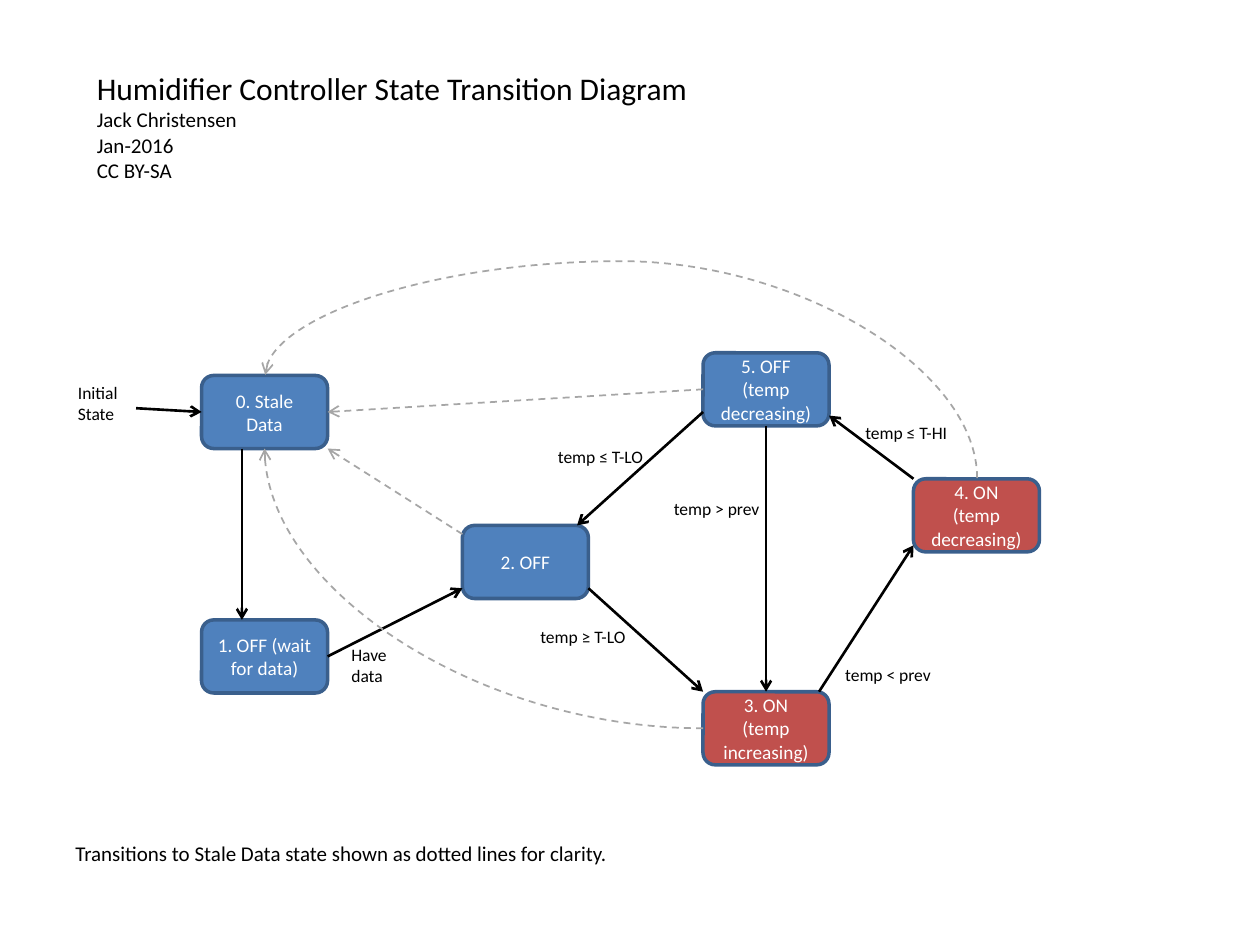
from pptx import Presentation
from pptx.dml.color import RGBColor
from pptx.enum.dml import MSO_LINE
from pptx.enum.shapes import MSO_CONNECTOR, MSO_SHAPE
from pptx.enum.text import MSO_ANCHOR, MSO_AUTO_SIZE, PP_ALIGN
from pptx.oxml.ns import qn
from pptx.util import Inches, Pt
from lxml.etree import SubElement

FONT = "Calibri"
BLUE, RED, EDGE = "4F81BD", "C0504D", "3A5F8C"
BLACK, GRAY, WHITE = "000000", "A6A6A6", "FFFFFF"
STATE_W, STATE_H = 1, 0.58
SITES = {(0.5, 0): 0, (0, 0.5): 1, (0.5, 1): 2, (1, 0.5): 3}

# left, top, fill, label; the index is the state number
STATES = [
    (1.6, 2.98, BLUE, "0. Stale Data"),
    (1.6, 4.92, BLUE, "1. OFF (wait for data)"),
    (3.67, 4.17, BLUE, "2. OFF"),
    (5.58, 5.49, RED, "3. ON (temp increasing)"),
    (7.25, 3.8, RED, "4. ON (temp decreasing)"),
    (5.58, 2.8, BLUE, "5. OFF (temp decreasing)"),
]

# from state, share across and down its box, then the same for the target
TRANSITIONS = [
    ((0, 0.32, 1), (1, 0.32, 0)),
    ((4, 0, 0), (5, 1, 0.86)),
    ((3, 0.92, 0), (4, 0, 0.91)),
    ((2, 1, 0.86), (3, 0, 0)),
    ((1, 1, 0.5), (2, 0, 0.86)),
    ((5, 0.5, 1), (3, 0.5, 0)),
    ((5, 0, 0.81), (2, 0.91, 0)),
]
STALE_LINES = [
    ((2, 0, 0.12), (0, 1, 1)),
    ((5, 0, 0.5), (0, 1, 0.5)),
]

# left, top, width, height, text
LABELS = [
    (0.52, 2.98, 0.58, 0.44, "Initial State"),
    (2.69, 5.06, 0.58, 0.44, "Have data"),
    (4.19, 4.92, 1.19, 0.27, "temp ≥ T-LO"),
    (6.61, 5.22, 1.19, 0.27, "temp < prev"),
    (6.77, 3.3, 0.9, 0.27, "temp ≤ T-HI"),
    (5.25, 3.9, 0.94, 0.27, "temp > prev"),
    (4.33, 3.49, 0.9, 0.27, "temp ≤ T-LO"),
]


def rgb(value):
    """Turn a hex string into a colour."""
    return RGBColor.from_string(value)


def style_text(p, size, color):
    """Format every run of a paragraph."""
    for r in p.runs:
        r.font.name = FONT
        r.font.size = Pt(size)
        r.font.color.rgb = rgb(color)


def add_state(slide, left, top, fill, label):
    """Add one rounded state box."""
    sp = slide.shapes.add_shape(
        MSO_SHAPE.ROUNDED_RECTANGLE,
        *map(Inches, (left, top, STATE_W, STATE_H)))
    sp.shadow.inherit = False
    sp.fill.solid()
    sp.fill.fore_color.rgb = rgb(fill)
    sp.line.color.rgb = rgb(EDGE)
    sp.line.width = Pt(2)
    tf = sp.text_frame
    tf.word_wrap = True
    tf.vertical_anchor = MSO_ANCHOR.MIDDLE
    tf.text = label
    p = tf.paragraphs[0]
    p.alignment = PP_ALIGN.CENTER
    style_text(p, 11, WHITE)
    return sp


def anchor(state, across, down):
    """Locate a point given as shares of a state's box."""
    left, top = STATES[state][:2]
    return left + across * STATE_W, top + down * STATE_H


def add_arrow(slide, start, end, dashed=False, kind=MSO_CONNECTOR.STRAIGHT):
    """Add an arrow between two points in inches."""
    cx = slide.shapes.add_connector(kind, *map(Inches, (*start, *end)))
    cx.line.color.rgb = rgb(GRAY if dashed else BLACK)
    cx.line.width = Pt(1 if dashed else 1.5)
    if dashed:
        cx.line.dash_style = MSO_LINE.DASH
    sp_pr = cx._element.spPr
    SubElement(sp_pr.find(qn("a:ln")), qn("a:tailEnd"), type="arrow")
    SubElement(sp_pr, qn("a:effectLst"))
    return cx


def link(slide, boxes, source, target, **style):
    """Join two states, glued wherever the arrow meets a connection site."""
    cx = add_arrow(slide, anchor(*source), anchor(*target), **style)
    for (state, *share), connect in ((source, cx.begin_connect),
                                     (target, cx.end_connect)):
        site = SITES.get(tuple(share))
        if site is not None:
            connect(boxes[state], site)
    return cx


def add_curve(slide, boxes, source, target, preset, frame, turn,
              flip_v=False, bend=None):
    """Add a dashed curved link with its own frame, rotation and bend."""
    cx = link(slide, boxes, source, target, dashed=True,
              kind=MSO_CONNECTOR.CURVE)
    cx.left, cx.top, cx.width, cx.height = map(Inches, frame)
    sp_pr = cx._element.spPr
    xfrm = sp_pr.find(qn("a:xfrm"))
    xfrm.set("rot", str(turn * 60000))
    xfrm.set("flipH", "0")
    xfrm.set("flipV", "1" if flip_v else "0")
    geom = sp_pr.find(qn("a:prstGeom"))
    geom.set("prst", preset)
    if bend is not None:
        SubElement(geom.find(qn("a:avLst")), qn("a:gd"), name="adj1",
                   fmla=f"val {round(bend * 100000)}")


def add_text(slide, box, lines, wrap=True):
    """Add a text box from (text, size) lines."""
    tf = slide.shapes.add_textbox(*map(Inches, box)).text_frame
    tf.word_wrap = wrap
    tf.auto_size = MSO_AUTO_SIZE.SHAPE_TO_FIT_TEXT
    tf.text = "\n".join(text for text, _ in lines)
    for p, (_, size) in zip(tf.paragraphs, lines):
        style_text(p, size, BLACK)


def main():
    """Build the state transition diagram."""
    prs = Presentation()
    prs.slide_width, prs.slide_height = Inches(10), Inches(7.5)
    slide = prs.slides.add_slide(prs.slide_layouts[6])

    boxes = [add_state(slide, *state) for state in STATES]
    for source, target in TRANSITIONS:
        link(slide, boxes, source, target)
    for source, target in STALE_LINES:
        link(slide, boxes, source, target, dashed=True)
    initial = add_arrow(slide, (1.08, 3.24), anchor(0, 0, 0.5))
    initial.end_connect(boxes[0], SITES[0, 0.5])

    add_curve(slide, boxes, (3, 0, 0.5), (0, 0.5, 1), "curvedConnector2",
              (2.1, 3.56, 3.48, 2.22), 180)
    add_curve(slide, boxes, (4, 0.5, 0), (0, 0.5, 0), "curvedConnector3",
              (4.52, 0.56, 0.82, 5.65), 270, flip_v=True, bend=2.1)

    add_text(slide, (0.67, 0.5, 4.94, 1.01), [
        ("Humidifier Controller State Transition Diagram", 18),
        ("Jack Christensen", 12), ("Jan-2016", 12), ("CC BY-SA", 12),
    ], wrap=False)
    add_text(slide, (0.5, 6.62, 4.47, 0.3), [
        ("Transitions to Stale Data state shown as dotted lines for clarity.",
         12)], wrap=False)
    for *box, text in LABELS:
        add_text(slide, box, [(text, 10)])

    prs.save("out.pptx")


main()
